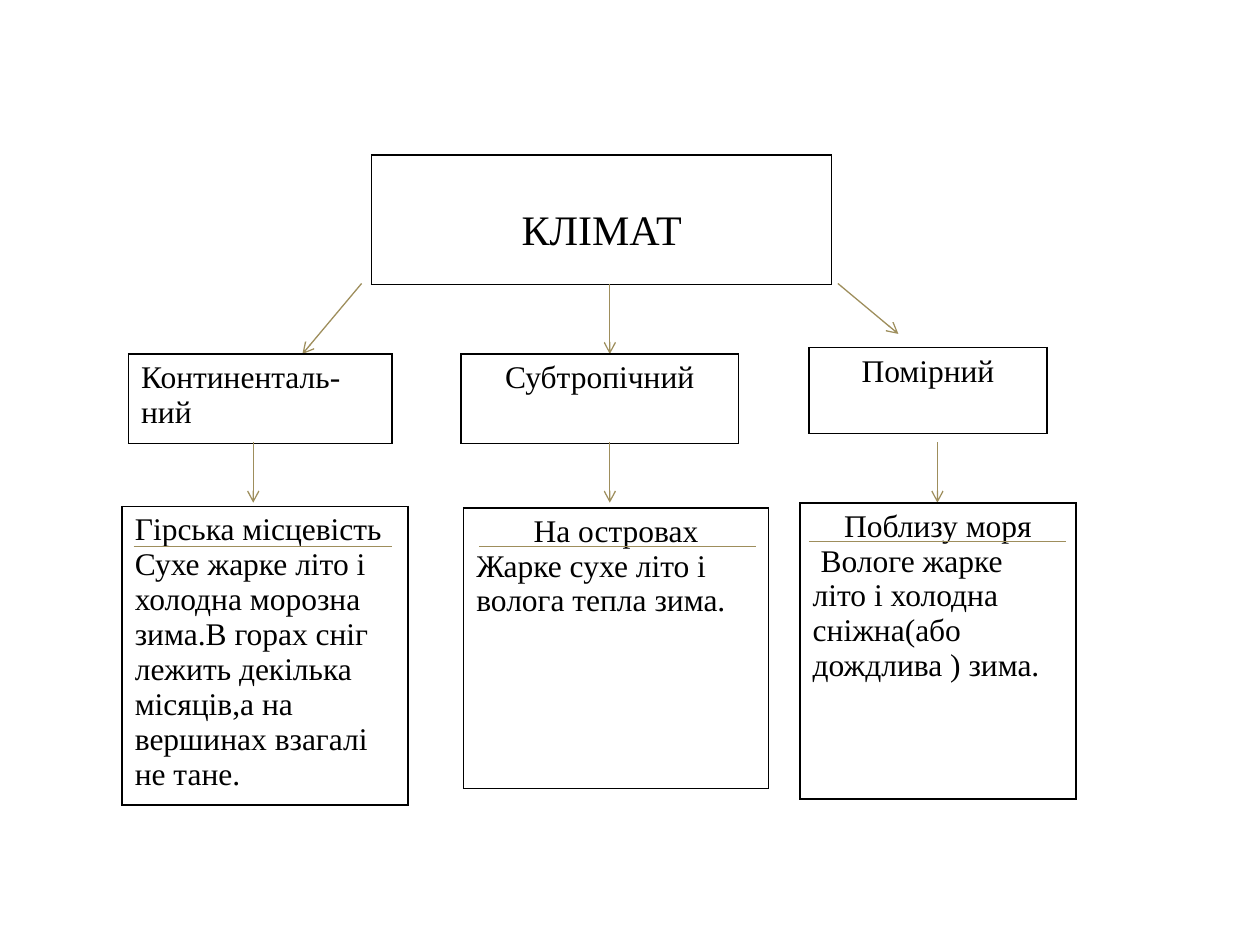
from pptx import Presentation
from pptx.dml.color import RGBColor
from pptx.enum.shapes import MSO_CONNECTOR
from pptx.enum.text import PP_ALIGN
from pptx.oxml import parse_xml
from pptx.oxml.ns import nsdecls
from pptx.util import Inches, Pt

THEME = {
    "font": "Times New Roman", "ink": "000000", "arrow": "9E8E5C",
    "head": 24, "body": 18, "edge": 1, "line": 0.75,
}
ROOT = ("КЛІМАТ", (2.95, 1.23, 3.65, 1.03))
TYPES = [
    {
        "name": "Континенталь-ний", "align": PP_ALIGN.LEFT,
        "box": (1.02, 2.81, 2.09, 0.71),
        "place": "Гірська місцевість", "info": (0.97, 4.02, 2.27, 2.37),
        "text": "Сухе жарке літо і холодна морозна зима.В горах сніг лежить "
                "декілька місяців,а на вершинах взагалі не тане.",
        "branch": (2.87, 2.4, 2.81), "stem": 2.01, "rule": (1.06, 3.11, 4.34),
    },
    {
        "name": "Субтропічний", "align": PP_ALIGN.CENTER,
        "box": (3.66, 2.81, 2.2, 0.71),
        "place": "На островах", "info": (3.68, 4.03, 2.42, 2.23),
        "text": "Жарке сухе літо і волога тепла зима.",
        "branch": (4.84, 4.84, 2.81), "stem": 4.84, "rule": (3.8, 6, 4.34),
    },
    {
        "name": "Помірний", "align": PP_ALIGN.CENTER,
        "box": (6.42, 2.76, 1.89, 0.68),
        "place": "Поблизу моря", "info": (6.35, 3.99, 2.19, 2.35),
        "text": " Вологе жарке літо і холодна сніжна(або дождлива ) зима.",
        "branch": (6.65, 7.13, 2.65), "stem": 7.44, "rule": (6.42, 8.46, 4.3),
    },
]
FORK = 2.25
STEM = (3.51, 3.99)


def write(par, text, size=THEME["body"], align=PP_ALIGN.LEFT):
    par.alignment = align
    run = par.add_run()
    run.text = text
    run.font.name = THEME["font"]
    run.font.size = Pt(size)
    run.font.bold = False
    run.font.color.rgb = RGBColor.from_string(THEME["ink"])


def add_box(slide, place, lines, size=THEME["body"], top=0.05):
    table = slide.shapes.add_table(1, 1, *map(Inches, place)).table
    table.first_row = table.horz_banding = False
    cell = table.cell(0, 0)
    cell.margin_top = Inches(top)
    props = cell._tc.get_or_add_tcPr()
    for side in "LRTB":
        props.append(parse_xml(
            f'<a:ln{side} {nsdecls("a")} w="{Pt(THEME["edge"])}"><a:solidFill>'
            f'<a:srgbClr val="{THEME["ink"]}"/></a:solidFill></a:ln{side}>'))
    cell.fill.background()
    frame = cell.text_frame
    for num, (text, align) in enumerate(lines):
        par = frame.add_paragraph() if num else frame.paragraphs[0]
        write(par, text, size=size, align=align)


def add_line(slide, start, end, arrow=True):
    line = slide.shapes.add_connector(
        MSO_CONNECTOR.STRAIGHT, *map(Inches, start + end))
    line.line.color.rgb = RGBColor.from_string(THEME["arrow"])
    line.line.width = Pt(THEME["line"])
    if arrow:
        line.line._get_or_add_ln().append(
            parse_xml(f'<a:tailEnd {nsdecls("a")} type="arrow"/>'))
    line._element.spPr.append(parse_xml(f'<a:effectLst {nsdecls("a")}/>'))


def main():
    """Build the climate chart slide."""
    deck = Presentation()
    deck.slide_width, deck.slide_height = Inches(10), Inches(7.5)
    slide = deck.slides.add_slide(deck.slide_layouts[6])
    title, place = ROOT
    add_box(slide, place, [(title, PP_ALIGN.CENTER)],
            size=THEME["head"], top=0.42)
    for kind in TYPES:
        start, end, low = kind["branch"]
        add_line(slide, (start, FORK), (end, low))
        add_box(slide, kind["box"], [(kind["name"], kind["align"])])
        add_line(slide, (kind["stem"], STEM[0]), (kind["stem"], STEM[1]))
        add_box(slide, kind["info"], [
            (kind["place"], PP_ALIGN.CENTER if kind["align"] == PP_ALIGN.CENTER
             else PP_ALIGN.LEFT),
            (kind["text"], PP_ALIGN.LEFT)])
        left, right, level = kind["rule"]
        add_line(slide, (left, level), (right, level), arrow=False)
    deck.save("out.pptx")


if __name__ == "__main__":
    main()
